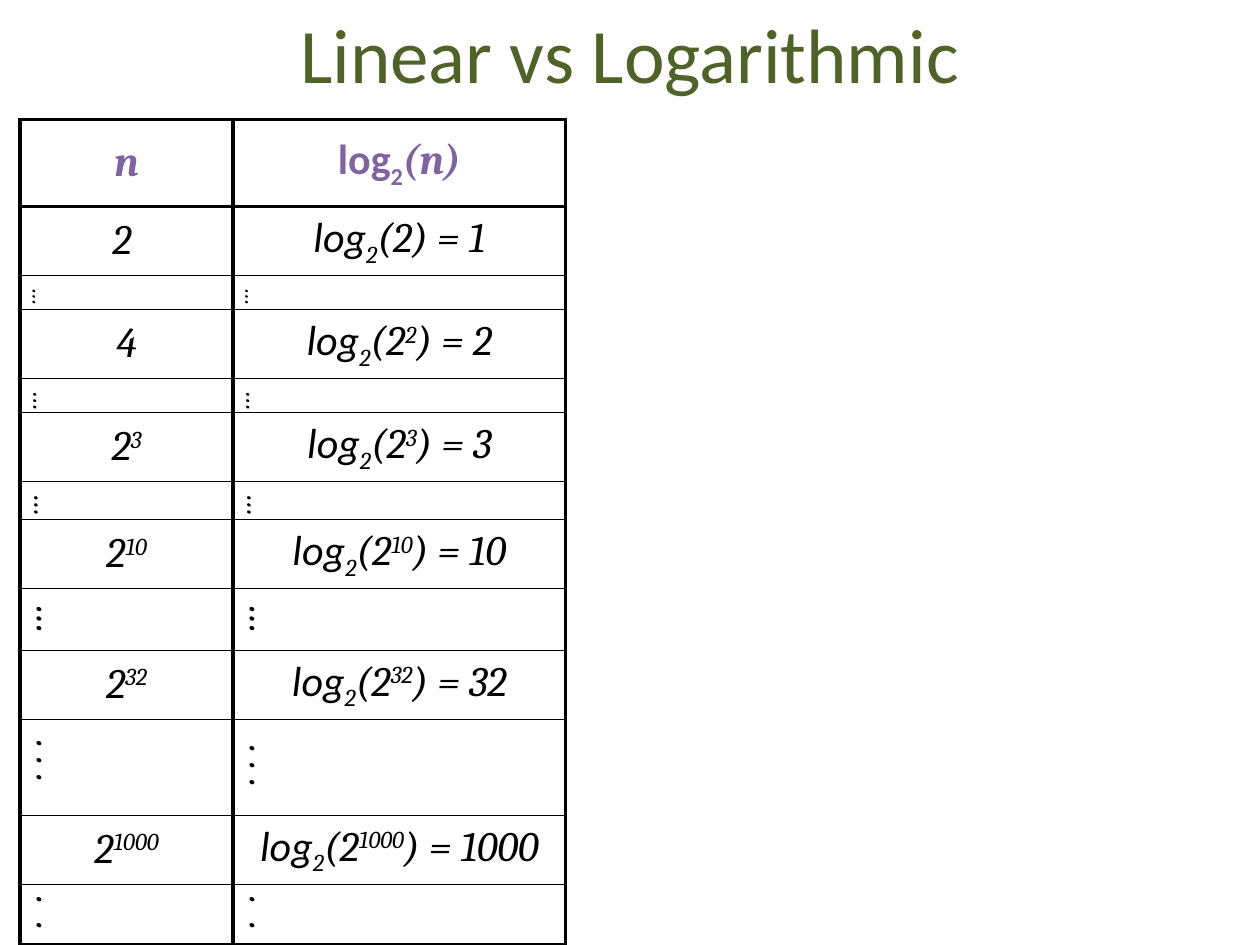
from lxml import etree
from pptx import Presentation
from pptx.dml.color import RGBColor
from pptx.enum import text
from pptx.oxml import ns
from pptx.util import Inches, Pt

GREEN = RGBColor(0x4F, 0x62, 0x28)
PURPLE = RGBColor(0x80, 0x64, 0xA2)
BLACK = RGBColor(0, 0, 0)
SANS, SERIF = "Calibri", "Cambria"
SUBSCRIPT, SUPERSCRIPT = -25000, 30000
THICK, THIN = 2.25, 0.5

TITLE = "Linear vs Logarithmic"
# n as (base, exponent), its logarithm, row height
VALUES = [
    ("2 ", "", "2", "1", 0.49),
    ("4", "", "2", "2", 0.49),
    ("2", "3", "2", "3", 0.49),
    ("2", "10", "2", "10", 0.49),
    ("2", "32", "2", "32", 0.49),
    ("2", "1000", "2", "1000", 0.49),
]
# left text, right text, size, row height of the gap after each value
GAPS = [
    ("…", "…", 14, 0.27),
    ("…", "…", 16, 0.27),
    ("…", "…", 18, 0.3),
    ("…", "…", 24, 0.49),
    (". . . ", ". . .", 24, 0.76),
    (".  .", ".  .", 24, 0.48),
]
HEADER_HEIGHT = 0.69
COLUMN_WIDTHS = [1.69, 2.64]


def add_run(paragraph, words, font=SERIF, size=24, color=BLACK,
            bold=False, italic=True, baseline=0):
    run = paragraph.add_run()
    run.text = words
    run.font.name = font
    run.font.size = Pt(size)
    run.font.color.rgb = color
    run.font.bold = bold
    run.font.italic = italic
    if baseline:
        run.font._element.set("baseline", str(baseline))


def set_borders(cell, top, bottom):
    """Thick black sides, with the given widths above and below."""
    properties = cell._tc.get_or_add_tcPr()
    for side, width in (("L", THICK), ("R", THICK), ("T", top), ("B", bottom)):
        line = etree.SubElement(properties, ns.qn(f"a:ln{side}"), w=str(Pt(width)))
        fill = etree.SubElement(line, ns.qn("a:solidFill"))
        etree.SubElement(fill, ns.qn("a:srgbClr"), val=str(BLACK))


def fill_header(left, right):
    style = {"color": PURPLE, "bold": True}
    add_run(left, "n", **style)
    add_run(right, "log", SANS, italic=False, **style)
    add_run(right, "2", SANS, italic=False, baseline=SUBSCRIPT, **style)
    add_run(right, "(n)", **style)


def fill_value(left, right, base, exponent, log_base, logarithm):
    add_run(left, base)
    if exponent:
        add_run(left, exponent, baseline=SUPERSCRIPT)
    add_run(right, "log", SANS)
    add_run(right, log_base, baseline=SUBSCRIPT)
    if logarithm == "1":
        add_run(right, "(2) = 1")
    else:
        add_run(right, "(2")
        add_run(right, logarithm, baseline=SUPERSCRIPT)
        add_run(right, f") = {logarithm}")


def fill_gap(left, right, left_dots, right_dots, size):
    add_run(left, left_dots, size=size)
    add_run(right, right_dots, size=size)


def main():
    presentation = Presentation()
    presentation.slide_width, presentation.slide_height = Inches(10), Inches(7.5)
    slide = presentation.slides.add_slide(presentation.slide_layouts[5])

    title = slide.shapes.title
    title.left, title.top = Inches(0.5), Inches(-0.21)
    title.width, title.height = Inches(9), Inches(1.25)
    title.text_frame.vertical_anchor = text.MSO_ANCHOR.MIDDLE
    paragraph = title.text_frame.paragraphs[0]
    paragraph.alignment = text.PP_ALIGN.CENTER
    add_run(paragraph, TITLE, SANS, 44, GREEN, italic=False)

    rows = [(fill_header, (), HEADER_HEIGHT)]
    for value, gap in zip(VALUES, GAPS):
        rows.append((fill_value, value[:-1], value[-1]))
        rows.append((fill_gap, gap[:-1], gap[-1]))

    table = slide.shapes.add_table(
        len(rows), len(COLUMN_WIDTHS), Inches(0.16), Inches(0.95),
        Inches(sum(COLUMN_WIDTHS)), Inches(sum(row[-1] for row in rows))).table
    table.first_row = table.horz_banding = False
    for column, width in zip(table.columns, COLUMN_WIDTHS):
        column.width = Inches(width)

    for index, (fill_row, content, height) in enumerate(rows):
        table.rows[index].height = Inches(height)
        cells = list(table.rows[index].cells)
        for cell in cells:
            cell.vertical_anchor = text.MSO_ANCHOR.MIDDLE
            cell.text_frame.paragraphs[0].alignment = text.PP_ALIGN.CENTER
            if fill_row is fill_gap:
                cell._tc.get_or_add_tcPr().set("vert", "vert")
            set_borders(cell, THICK if index < 2 else THIN,
                        THICK if index in (0, len(rows) - 1) else THIN)
            cell.fill.background()
        fill_row(*(cell.text_frame.paragraphs[0] for cell in cells), *content)

    presentation.save("out.pptx")


if __name__ == "__main__":
    main()
